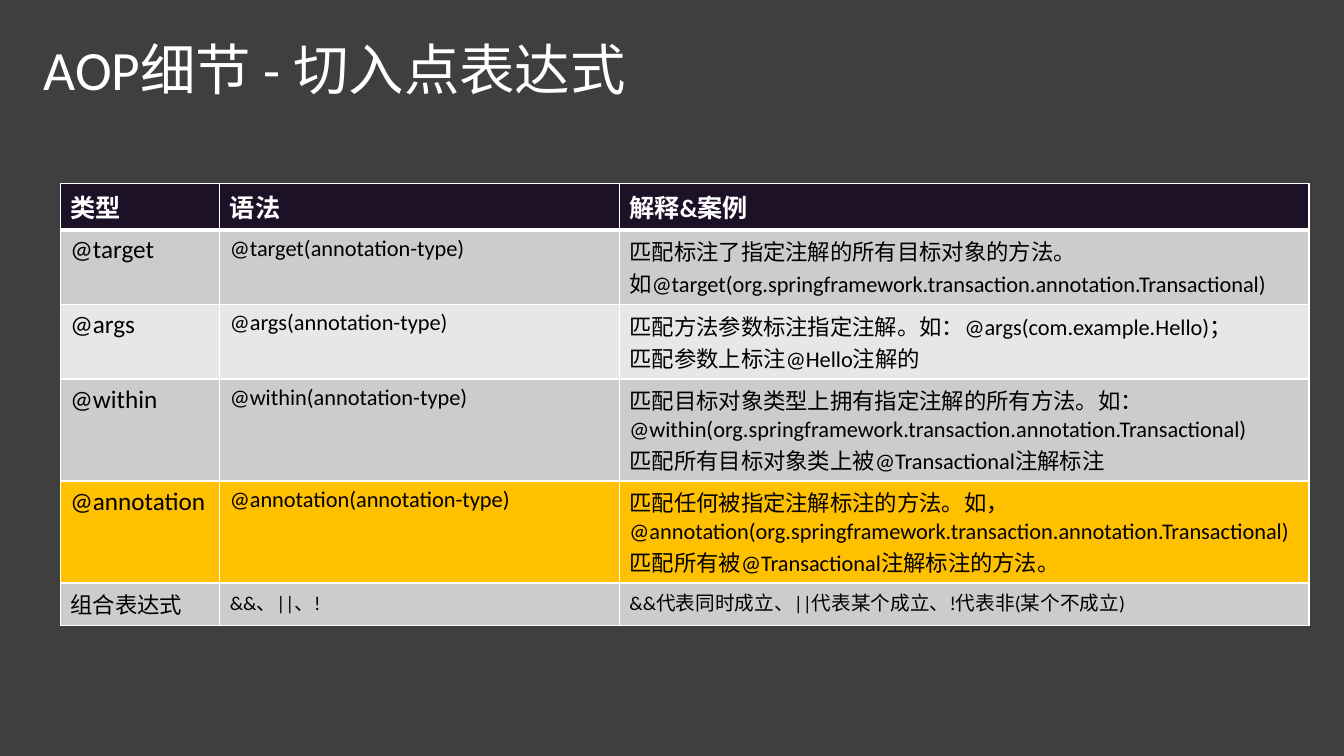
from lxml import etree
from pptx import Presentation
from pptx.dml.color import RGBColor
from pptx.enum import text
from pptx.oxml.ns import qn
from pptx.util import Cm, Pt


def paint(fill, hue):
    fill.solid()
    fill.fore_color.rgb = RGBColor.from_string(hue)


def write(frame, words, size, hue, bold=False):
    """Fill a text frame, one paragraph for each line of words."""
    frame.text = words
    for para in frame.paragraphs:
        font = para.runs[0].font
        look = {"name": "Calibri", "size": Pt(size), "bold": bold}
        for key, val in look.items():
            setattr(font, key, val)
        paint(font.fill, hue)


WHITE, BLACK = "FFFFFF", "000000"
DARK, GREY, PALE, GOLD = "1D1128", "CDCCCD", "E8E7E8", "FFC000"

deck = Presentation()
deck.slide_width, deck.slide_height = Cm(33.87), Cm(19.05)
slide = deck.slides.add_slide(deck.slide_layouts[6])
paint(slide.background.fill, "3F3F3F")

# Title
title = slide.shapes.add_textbox(Cm(0.85), Cm(0.91), Cm(20.32), Cm(1.85)).text_frame
title.word_wrap = True
title.vertical_anchor = text.MSO_ANCHOR.MIDDLE
write(title, "AOP细节 - 切入点表达式", 39.6, WHITE)
title.paragraphs[0].line_spacing = 0.9

# Each row: height, fill, text sizes, cell texts
rows = [
    (1.17, DARK, (18, 18, 18), ("类型", "语法", "解释&案例")),
    (1.88, GREY, (18, 16, 16), (
        "@target", "@target(annotation-type)",
        "匹配标注了指定注解的所有目标对象的方法。\n"
        "如@target(org.springframework.transaction.annotation.Transactional)")),
    (1.88, PALE, (18, 16, 16), (
        "@args", "@args(annotation-type)",
        "匹配方法参数标注指定注解。如：@args(com.example.Hello)；\n"
        "匹配参数上标注@Hello注解的")),
    (2.57, GREY, (18, 16, 16), (
        "@within", "@within(annotation-type)",
        "匹配目标对象类型上拥有指定注解的所有方法。如：\n"
        "@within(org.springframework.transaction.annotation.Transactional)\n"
        "匹配所有目标对象类上被@Transactional注解标注")),
    (2.57, GOLD, (18, 16, 16), (
        "@annotation", "@annotation(annotation-type)",
        "匹配任何被指定注解标注的方法。如，"
        "@annotation(org.springframework.transaction.annotation.Transactional) "
        "匹配所有被@Transactional注解标注的方法。")),
    (1.08, GREY, (16, 14, 14), (
        "组合表达式", "&&、||、!",
        "&&代表同时成立、||代表某个成立、!代表非(某个不成立)")),
]
widths = [4.02, 10.07, 17.38]

grid = slide.shapes.add_table(len(rows), len(widths), Cm(1.52), Cm(4.62),
                              Cm(sum(widths)), Cm(sum(row[0] for row in rows))).table
grid.first_row = grid.horz_banding = False
for col, wide in zip(grid.columns, widths):
    col.width = Cm(wide)

for r, (high, fill, sizes, words) in enumerate(rows):
    grid.rows[r].height = Cm(high)
    thick = {"lnL": 1, "lnR": 1, "lnT": 3 if r == 1 else 1, "lnB": 3 if r == 0 else 1}
    for c, (size, word) in enumerate(zip(sizes, words)):
        cell = grid.cell(r, c)
        write(cell.text_frame, word, size, BLACK if r else WHITE, r == 0)
        props = cell._tc.get_or_add_tcPr()
        for side, wide in thick.items():
            line = etree.SubElement(props, qn("a:" + side), w=str(Pt(wide)))
            solid = etree.SubElement(line, qn("a:solidFill"))
            etree.SubElement(solid, qn("a:srgbClr"), val=WHITE)
        paint(cell.fill, fill)

deck.save("out.pptx")
